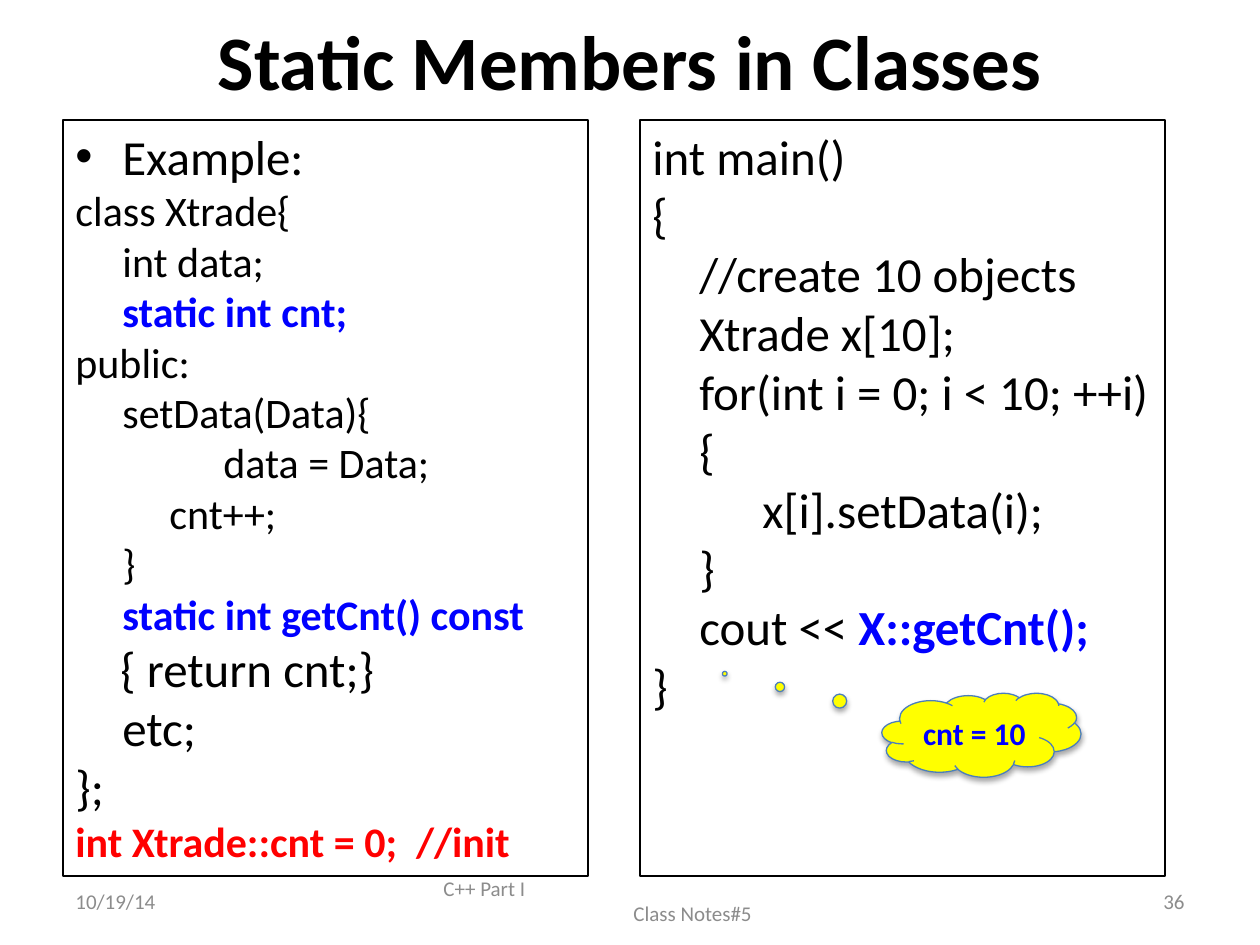
from lxml import etree
from pptx import Presentation
from pptx import util as u
from pptx.dml.color import RGBColor
from pptx.enum import shapes, text
from pptx.oxml.ns import qn

PX = 914400 // 126
BLACK, BLUE, RED, GRAY, YELLOW = "000000", "0000FF", "FF0000", "8C8C8C", "FFFF00"
LEFT, CENTER, RIGHT = text.PP_ALIGN.LEFT, text.PP_ALIGN.CENTER, text.PP_ALIGN.RIGHT


def color(value):
    return RGBColor.from_string(value)


class Deck:
    font = "Calibri"

    def __init__(self, width, height):
        self.prs = Presentation()
        self.prs.slide_width, self.prs.slide_height = u.Inches(width), u.Inches(height)
        self.s = self.prs.slides.add_slide(self.prs.slide_layouts[5])

    def place(self, sp, box):
        sp.left, sp.top, sp.width, sp.height = [n * PX for n in box]

    def style(self, r, size, fill=BLACK, bold=False):
        r.font.name, r.font.size, r.font.bold = self.font, u.Pt(size), bold
        r.font.color.rgb = color(fill)

    def indent(self, p, left, first=0):
        pPr = p._p.get_or_add_pPr()
        pPr.set("marL", str(left * PX))
        pPr.set("indent", str(first * PX))
        return pPr

    def title(self, words, box, size):
        sp = self.s.shapes.title
        self.place(sp, box)
        tf = sp.text_frame
        tf.text = words
        tf.vertical_anchor = text.MSO_ANCHOR.MIDDLE
        p = tf.paragraphs[0]
        p.alignment = CENTER
        self.style(p.runs[0], size, bold=True)

    def code(self, box, lines):
        sp = self.s.shapes.add_shape(shapes.MSO_SHAPE.RECTANGLE, 0, 0, PX, PX)
        self.place(sp, box)
        sp.shadow.inherit = False
        sp.fill.background()
        sp.line.color.rgb, sp.line.width = color(BLACK), u.Pt(0.75)
        tf = sp.text_frame
        tf.word_wrap = True
        tf.vertical_anchor = text.MSO_ANCHOR.TOP
        for i, (left, size, *parts) in enumerate(lines):
            p = tf.add_paragraph() if i else tf.paragraphs[0]
            p.alignment = LEFT
            self.indent(p, left)
            for words, fill in parts:
                r = p.add_run()
                r.text = words
                self.style(r, size, fill, fill != BLACK)
        return tf

    def bullet(self, p, left):
        pPr = self.indent(p, left, -left)
        etree.SubElement(pPr, qn("a:buFont")).set("typeface", "Arial")
        etree.SubElement(pPr, qn("a:buChar")).set("char", "•")

    def footer(self, box, align, *lines):
        sp = self.s.shapes.add_textbox(0, 0, PX, PX)
        self.place(sp, box)
        tf = sp.text_frame
        tf.word_wrap = True
        tf.vertical_anchor = text.MSO_ANCHOR.MIDDLE
        for i, (left, words) in enumerate(lines):
            p = tf.add_paragraph() if i else tf.paragraphs[0]
            p.text = words
            p.alignment = align
            self.indent(p, left)
            self.style(p.runs[0], 12, GRAY)

    def cloud(self, box, words, tail):
        sp = self.s.shapes.add_shape(shapes.MSO_SHAPE.CLOUD_CALLOUT, 0, 0, PX, PX)
        self.place(sp, box)
        sp.adjustments[0], sp.adjustments[1] = tail
        sp.fill.solid()
        sp.fill.fore_color.rgb = color(YELLOW)
        sp.line.color.rgb, sp.line.width = color("4B7EBC"), u.Pt(0.75)
        tf = sp.text_frame
        tf.text = words
        tf.vertical_anchor = text.MSO_ANCHOR.MIDDLE
        p = tf.paragraphs[0]
        p.alignment = CENTER
        self.style(p.runs[0], 18, BLUE, True)


STEP = 47
deck = Deck(10, 7.5)
deck.title("Static Members in Classes", (63, 0, 1134, 120), 44)

class_code = deck.code((63, 120, 525, 756), [
    (STEP, 28, ("Example:", BLACK)),
    (0, 24, ("class Xtrade{", BLACK)),
    (STEP, 24, ("int data;", BLACK)),
    (STEP, 24, ("static int cnt;", BLUE)),
    (0, 24, ("public:", BLACK)),
    (STEP, 24, ("setData(Data){", BLACK)),
    (148, 24, ("data = Data;", BLACK)),
    (2 * STEP, 24, ("cnt++;", BLACK)),
    (STEP, 24, ("}", BLACK)),
    (STEP, 24, ("static int getCnt() const", BLUE)),
    (45, 28, ("{ return cnt;}", BLACK)),
    (STEP, 28, ("etc;", BLACK)),
    (0, 28, ("};", BLACK)),
    (0, 24, ("int Xtrade::cnt = 0;  //init", RED)),
])
deck.bullet(class_code.paragraphs[0], STEP)

deck.footer((63, 876, 294, 50), LEFT, (0, "10/19/14"))
deck.footer((431, 876, 399, 50), LEFT, (0, "C++ Part I"), (190, "Class Notes#5"))
deck.footer((903, 876, 294, 50), RIGHT, (0, "36"))

deck.code((640, 120, 525, 756), [
    (0, 28, ("int main()", BLACK)),
    (0, 28, ("{", BLACK)),
    (STEP, 28, ("//create 10 objects", BLACK)),
    (STEP, 28, ("Xtrade x[10];", BLACK)),
    (STEP, 28, ("for(int i = 0; i < 10; ++i){", BLACK)),
    (110, 28, ("x[i].setData(i);", BLACK)),
    (STEP, 28, ("}", BLACK)),
    (STEP, 28, ("cout << ", BLACK), ("X::getCnt();", BLUE)),
    (0, 28, ("}", BLACK)),
])
deck.cloud((882, 693, 199, 84), "cnt = 10", (-1.29, -0.73))

deck.prs.save("out.pptx")
